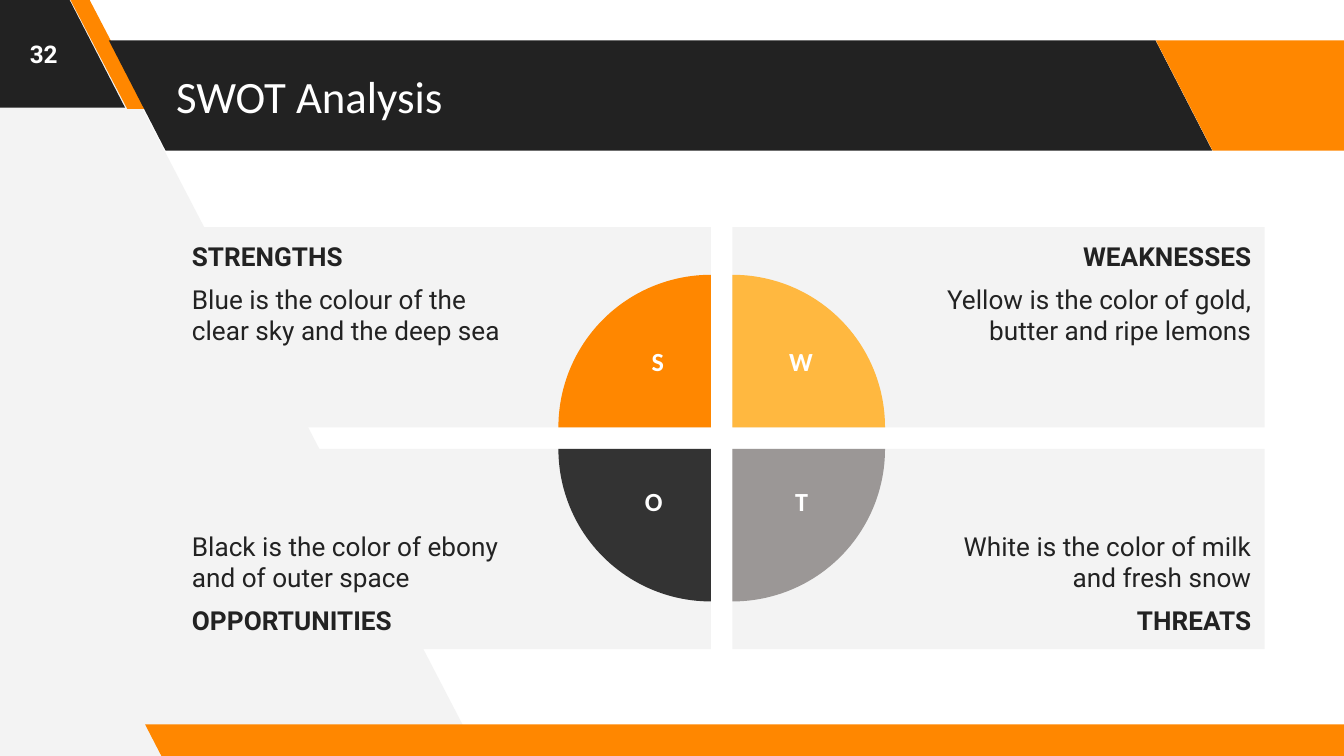
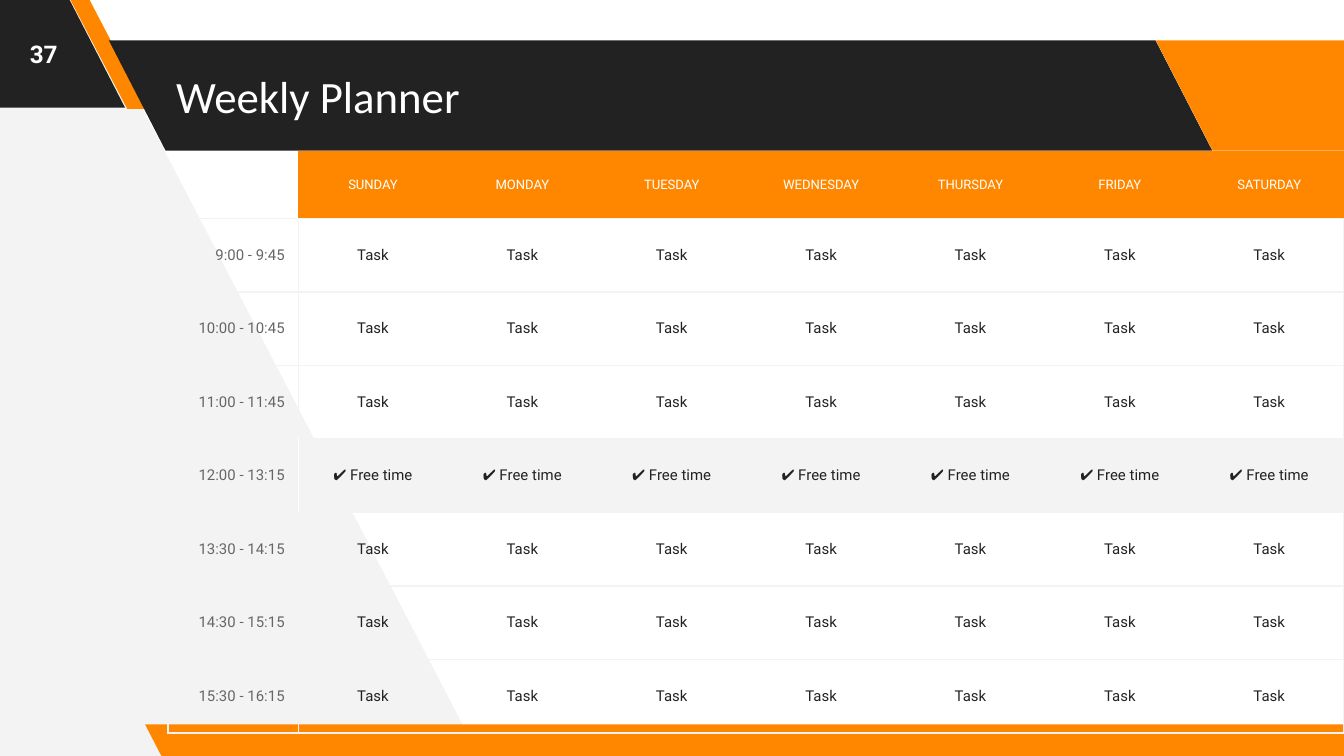
"""Build a SWOT slide and a weekly planner slide that share one frame of slanted bands."""
from dataclasses import dataclass

from lxml import etree
from pptx import Presentation
from pptx import util as u
from pptx.dml.color import RGBColor
from pptx.enum import shapes, text
from pptx.oxml import ns

COLORS = {
    "white": "FFFFFF", "pale": "F3F3F3", "ink": "222222", "charcoal": "333333",
    "orange": "FF8700", "amber": "FFB840", "stone": "9B9796", "gray": "666666",
}
UNIT = u.Inches(0.1)
PAGE_COLUMNS, PAGE_ROWS = 100, 56.25
LEFT, CENTER, RIGHT = text.PP_ALIGN.LEFT, text.PP_ALIGN.CENTER, text.PP_ALIGN.RIGHT
TOP, MIDDLE, BOTTOM = (text.MSO_ANCHOR.TOP, text.MSO_ANCHOR.MIDDLE,
                       text.MSO_ANCHOR.BOTTOM)
PLAIN_TABLE = "{2D5ABB26-0587-4C30-8999-92F81FD0307C}"


@dataclass
class Box:
    """A rectangle measured in columns and rows of the slide grid."""
    left: float
    top: float
    width: float
    height: float

    def inner(self, left, top, width, height):
        """Return a box placed from this box's top left corner."""
        return Box(self.left + left, self.top + top, width, height)

    def lengths(self):
        """Return left, top, width and height as slide lengths."""
        return [grid(n) for n in (self.left, self.top, self.width, self.height)]


def grid(count):
    """Convert columns or rows to a slide length."""
    return u.Emu(round(count * UNIT))


def rgb(name):
    """Look up a named colour."""
    return RGBColor.from_string(COLORS[name])


def write(frame, words, size=14, color="ink", font="Roboto", bold=False,
          align=LEFT, before=0, after=0):
    """Add one formatted paragraph to a text frame."""
    para = frame.add_paragraph() if frame.text else frame.paragraphs[0]
    para.alignment = align
    para.space_before, para.space_after = u.Pt(before), u.Pt(after)
    span = para.add_run()
    span.text = words
    span.font.size, span.font.bold, span.font.name = u.Pt(size), bold, font
    span.font.color.rgb = rgb(color)


def set_frame(frame, anchor=MIDDLE, left=1, right=1, edge=1, wrap=True):
    """Set the margins, anchor and wrapping of a text frame."""
    frame.auto_size = text.MSO_AUTO_SIZE.NONE
    frame.word_wrap = wrap
    frame.vertical_anchor = anchor
    frame.margin_left, frame.margin_right = grid(left), grid(right)
    frame.margin_top = frame.margin_bottom = grid(edge)
    return frame


def paint(shape, color):
    """Give a shape a flat fill without line or shadow."""
    shape.shadow.inherit = False
    shape.fill.solid()
    shape.fill.fore_color.rgb = rgb(color)
    shape.line.fill.background()
    return shape


def add_band(page, box, color, slant=0.515):
    """Draw a band whose ends lean to the left."""
    band = page.shapes.add_shape(shapes.MSO_SHAPE.PARALLELOGRAM, *box.lengths())
    band.adjustments[0] = slant
    band.element.spPr.find(ns.qn("a:xfrm")).set("flipH", "1")
    paint(band, color)


def add_side(page, box):
    """Draw the pale slanted area along the left edge."""
    right, bottom = box.left + box.width, box.top + box.height
    corners = [(right, bottom - 0.4), (6.2, box.top), (box.left, box.top), (-0.2, bottom)]
    points = [(grid(x), grid(y)) for x, y in corners]
    outline = page.shapes.build_freeform(*points[0])
    outline.add_line_segments(points[1:], close=True)
    paint(outline.convert_to_shape(), "pale")


def add_page(deck, title, number):
    """Add a slide with the shared bands, title and number."""
    page = deck.slides.add_slide(deck.slide_layouts[5])
    whole = Box(0, 0, PAGE_COLUMNS, PAGE_ROWS)
    header = whole.inner(8.1, 3, 82.1, 8.2)
    add_side(page, whole.inner(-0.6, -0.4, 36.2, 57))
    add_band(page, whole.inner(-9.9, -0.2, 19.2, 8.2), "ink")
    add_band(page, whole.inner(5.2, -0.1, 5.7, 8.2), "orange", slant=0.75)
    add_band(page, header, "ink")
    add_band(page, header.inner(77.9, 0, 19.2, 8.2), "orange")
    add_band(page, whole.inner(10.8, 53.9, 91.5, 2.5), "orange")

    heading = page.shapes.title
    page.shapes.element.append(heading.element)
    heading.left, heading.top, heading.width, heading.height = header.inner(
        4, 0, 73.5, 8.2).lengths()
    write(set_frame(heading.text_frame), title, size=24, color="white", font="Calibri")
    label = page.shapes.add_textbox(*whole.inner(0, 0, 6.5, 8).lengths())
    write(set_frame(label.text_frame), number, size=13, color="white", bold=True,
          align=CENTER)
    return page


def add_panel(page, box, name, note, column, row):
    """Draw one SWOT panel with its name on the outer edge."""
    panel = paint(page.shapes.add_shape(shapes.MSO_SHAPE.RECTANGLE, *box.lengths()), "pale")
    frame = set_frame(panel.text_frame, anchor=BOTTOM if row else TOP,
                      left=15 if column else 1, right=1 if column else 15)
    lines = [(name, True), (note, False)]
    if row:
        lines.reverse()
    for index, (words, bold) in enumerate(lines):
        write(frame, words, bold=bold, align=RIGHT if column else LEFT,
              before=6 * index, after=6 * index)


def add_quarter(page, box, color, turn, column, row):
    """Draw a quarter circle around a panel's inner corner."""
    size = 22.7
    corner = box.inner(0 if column else box.width, 0 if row else box.height, 0, 0)
    circle = corner.inner(-size / 2, -size / 2, size, size)
    quarter = page.shapes.add_shape(shapes.MSO_SHAPE.PIE, *circle.lengths())
    quarter.adjustments[0], quarter.adjustments[1] = 108, 162
    quarter.rotation = turn
    paint(quarter, color)


def add_letter(page, box, letter):
    """Write the letter of a quarter circle."""
    label = page.shapes.add_textbox(*box.lengths())
    write(set_frame(label.text_frame, anchor=TOP, edge=0.5, wrap=False), letter,
          color="white", font="Calibri", bold=True, align=CENTER)


def add_swot(page, box):
    """Lay out four panels, four quarter circles and four letters."""
    gap = 1.6
    width, height = (box.width - gap) / 2, (box.height - gap) / 2
    quadrants = [
        ("STRENGTHS", "Blue is the colour of the clear sky and the deep sea",
         "orange", 0, 0, 0, (34.3, 8.3, 2.7, 4.3)),
        ("WEAKNESSES", "Yellow is the color of gold, butter and ripe lemons",
         "amber", 90, 1, 0, (43.8, 8.3, 5, 4.3)),
        ("OPPORTUNITIES", "Black is the color of ebony and of outer space",
         "charcoal", 270, 0, 1, (34, 18.7, 2.7, 4.3)),
        ("THREATS", "White is the color of milk and fresh snow",
         "stone", 180, 1, 1, (44.9, 18.7, 2.9, 4.2)),
    ]
    cells = [box.inner(column * (width + gap), row * (height + gap), width, height)
             for *_, column, row, _ in quadrants]
    for cell, (name, note, _, _, column, row, _) in zip(cells, quadrants):
        add_panel(page, cell, name, note, column, row)
    for cell, (_, _, color, turn, column, row, _) in zip(cells, quadrants):
        add_quarter(page, cell, color, turn, column, row)
    for name, *_, place in quadrants:
        add_letter(page, box.inner(*place), name[0])


def set_borders(cell, **sides):
    """Draw the named sides of a cell and clear the others."""
    properties = cell._tc.get_or_add_tcPr()
    for side in "LRTB":
        line = etree.SubElement(properties, ns.qn(f"a:ln{side}"), w=str(u.Pt(0.75)))
        if side in sides:
            fill = etree.SubElement(line, ns.qn("a:solidFill"))
            etree.SubElement(fill, ns.qn("a:srgbClr"), val=COLORS[sides[side]])
        else:
            etree.SubElement(line, ns.qn("a:noFill"))


def fill_cell(cell, words, fill=None, sides=None, **style):
    """Set a table cell's borders, fill and text."""
    set_borders(cell, **(sides or {}))
    if fill:
        cell.fill.solid()
        cell.fill.fore_color.rgb = rgb(fill)
    else:
        cell.fill.background()
    cell.vertical_anchor = MIDDLE
    cell.margin_left = cell.margin_right = cell.margin_top = cell.margin_bottom = grid(1)
    if words:
        write(cell.text_frame, words, **style)


def add_planner(page, box):
    """Lay out the week as a table of days and hours."""
    days = ["SUNDAY", "MONDAY", "TUESDAY", "WEDNESDAY", "THURSDAY", "FRIDAY", "SATURDAY"]
    hours = ["9:00 - 9:45", "10:00 - 10:45", "11:00 - 11:45", "12:00 - 13:15",
             "13:30 - 14:15", "14:30 - 15:15", "15:30 - 16:15"]
    hour_width, day_height = 9.7, 4.3
    table = page.shapes.add_table(len(hours) + 1, len(days) + 1, *box.lengths()).table
    table.first_row = table.horz_banding = False
    table._tbl.tblPr.find(ns.qn("a:tableStyleId")).text = PLAIN_TABLE
    for index, column in enumerate(table.columns):
        column.width = grid((box.width - hour_width) / len(days) if index else hour_width)
    for index, row in enumerate(table.rows):
        row.height = grid((box.height - day_height) / len(hours) if index else day_height)

    for column, day in enumerate(["", *days]):
        fill_cell(table.cell(0, column), day, fill="orange" if day else None,
                  sides={"B": "pale"}, size=7, color="white", align=CENTER)
    for row, hour in enumerate(hours, start=1):
        free = hour.startswith("12")
        fill, divider = ("pale", "white") if free else (None, "pale")
        level = {"T": "pale", "B": "pale"}
        fill_cell(table.cell(row, 0), hour, fill=fill, size=8, color="gray", align=RIGHT,
                  sides={**level, "L": "pale", "R": divider})
        for column in range(1, len(days) + 1):
            ends = {1: {"L": divider}, len(days): {"R": "pale"}}.get(column, {})
            fill_cell(table.cell(row, column), "✔ Free time" if free else "Task",
                      fill=fill, sides={**level, **ends}, size=8, align=CENTER)


def main():
    """Build and save the deck."""
    deck = Presentation()
    deck.slide_width, deck.slide_height = grid(PAGE_COLUMNS), grid(PAGE_ROWS)
    add_swot(add_page(deck, "SWOT Analysis", "32"), Box(13.3, 16.9, 80.8, 31.4))
    add_planner(add_page(deck, "Weekly Planner", "37"), Box(12.5, 11.2, 87.5, 42.6))
    deck.save("out.pptx")


if __name__ == "__main__":
    main()
